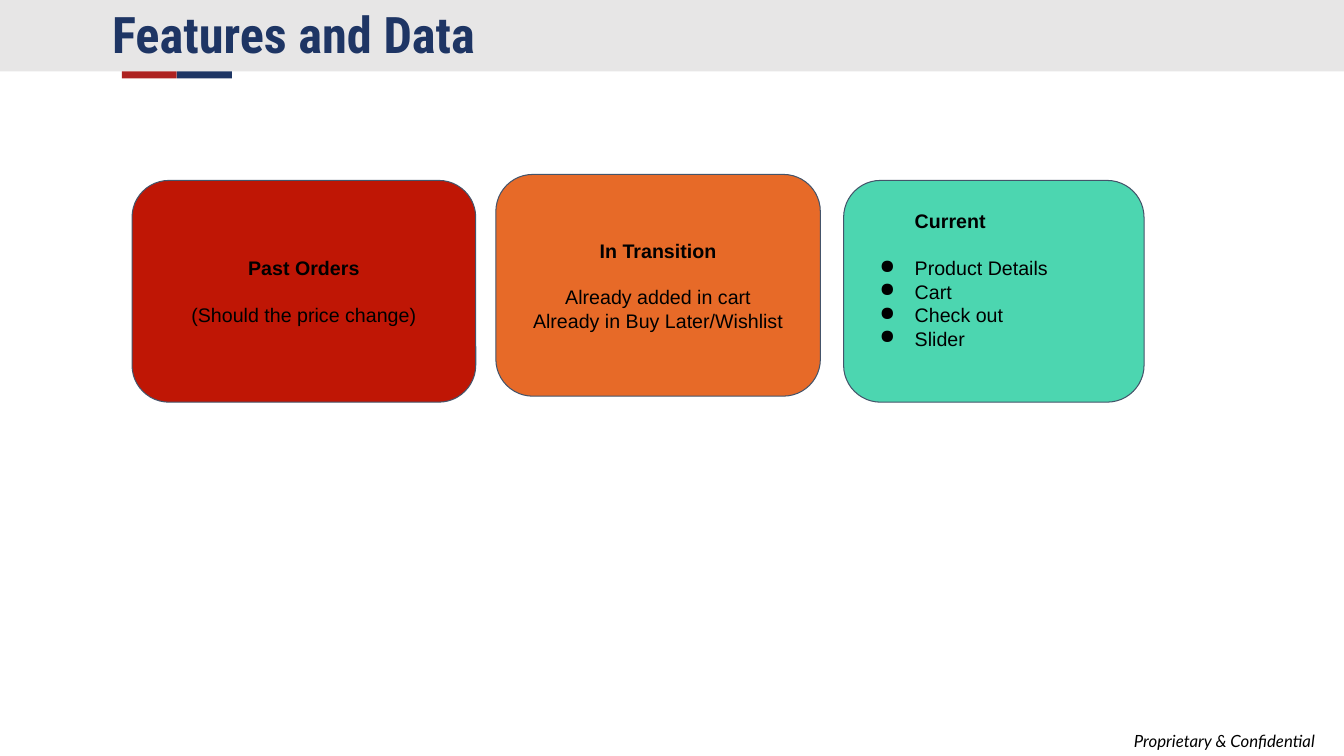
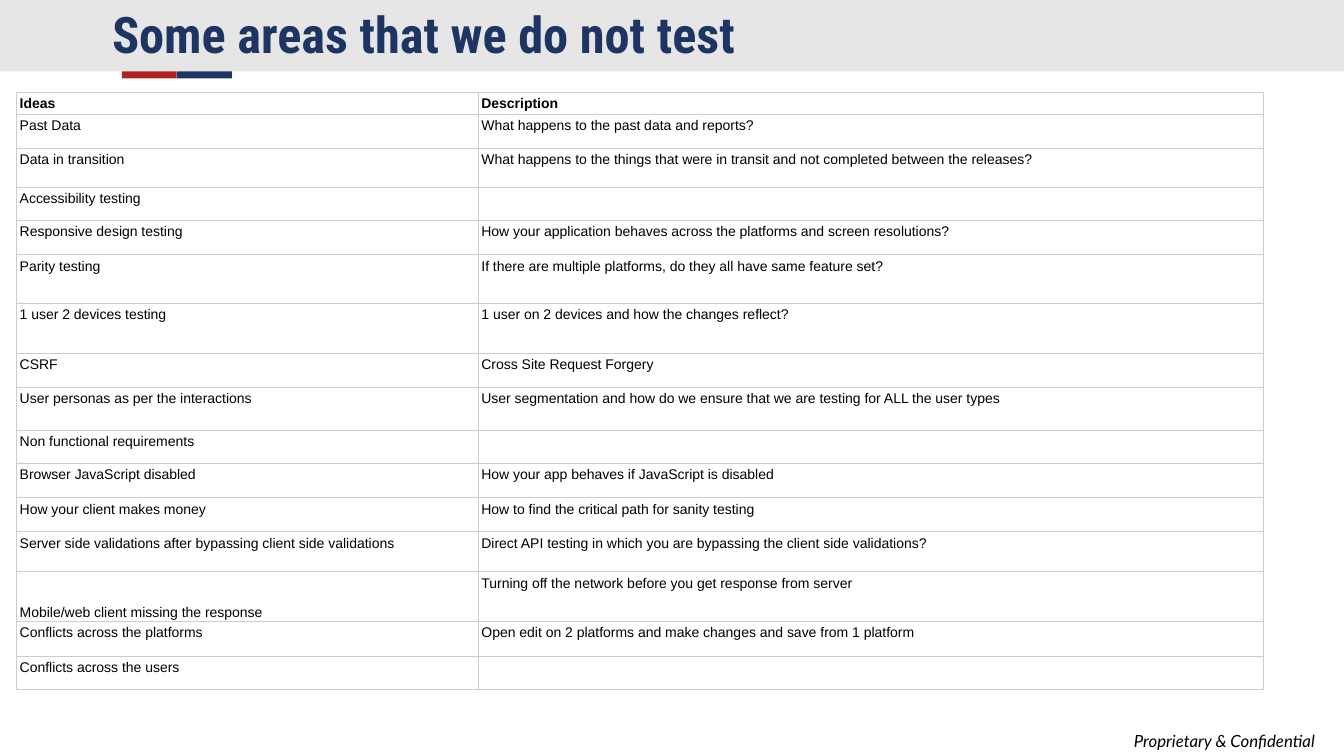
from lxml import etree
from pptx import Presentation
from pptx.dml.color import RGBColor
from pptx.enum import shapes, text
from pptx.oxml import ns
from pptx.util import Pt

WIDTH, HEIGHT = 960, 540
BLACK, WHITE = "000000", "FFFFFF"
NAVY, RED, BAND = "1D3564", "AE2220", "E7E6E6"
TITLE_COLOR, CARD_LINE, GRID = "1E3564", "44546A", "CCCCCC"
BODY_FONT, TITLE_FONT, FOOTER_FONT = "Arial", "Roboto Condensed", "Lato"
CARD_LINE_HEIGHT = 16.5

CARDS = [
    ((94.3, 128.9, 245.5), "BF1605", "Past Orders", ["(Should the price change)"], False),
    ((354.2, 124.6, 231.8), "E76A28", "In Transition",
     ["Already added in cart", "Already in Buy Later/Wishlist"], False),
    ((602.6, 128.9, 214.6), "4CD6B0", "Current",
     ["Product Details", "Cart", "Check out", "Slider"], True),
]

COLUMN_WIDTHS = [329.8, 560.9]
ROWS = [
    (15.7, "Ideas", "Description"),
    (24.3, "Past Data", "What happens to the past data and reports?"),
    (27.9, "Data in transition",
     "What happens to the things that were in transit and not completed between the releases?"),
    (22.9, "Accessibility testing", ""),
    (24.3, "Responsive design testing",
     "How your application behaves across the platforms and screen resolutions?"),
    (35, "Parity testing", "If there are multiple platforms, do they all have same feature set?"),
    (35.7, "1 user 2 devices testing", "1 user on 2 devices and how the changes reflect?"),
    (24.3, "CSRF", "Cross Site Request Forgery"),
    (30.7, "User personas as per the interactions",
     "User segmentation and how do we ensure that we are testing for ALL the user types"),
    (23.6, "Non functional requirements", ""),
    (24.3, "Browser JavaScript disabled", "How your app behaves if JavaScript is disabled"),
    (24.3, "How your client makes money", "How to find the critical path for sanity testing"),
    (28.6, "Server side validations after bypassing client side validations",
     "Direct API testing in which you are bypassing the client side validations?"),
    (35.7, "Mobile/web client missing the response",
     "Turning off the network before you get response from server"),
    (25, "Conflicts across the platforms",
     "Open edit on 2 platforms and make changes and save from 1 platform"),
    (22.9, "Conflicts across the users", ""),
]
BOTTOM_ROW = 13


def color(value):
    """Turn a hex string into a colour."""
    return RGBColor.from_string(value)


def add_run(paragraph, words, size, font=BODY_FONT, ink=BLACK, bold=False, italic=False):
    """Append one styled run."""
    run = paragraph.add_run()
    run.text = words
    run.font.size, run.font.name = Pt(size), font
    run.font.bold, run.font.italic = bold, italic
    run.font.color.rgb = color(ink)


def set_margins(frame, horizontal, vertical):
    """Set the insets of a text frame or a table cell."""
    frame.margin_left = frame.margin_right = Pt(horizontal)
    frame.margin_top = frame.margin_bottom = Pt(vertical)


def add_block(slide, kind, box, fill, line=None):
    """Draw a filled preset shape."""
    shape = slide.shapes.add_shape(kind, *map(Pt, box))
    shape.shadow.inherit = False
    shape.fill.solid()
    shape.fill.fore_color.rgb = color(fill)
    if line:
        shape.line.color.rgb = color(line)
        shape.line.width = Pt(0.75)
    else:
        shape.line.fill.background()
    return shape


def add_label(slide, box, words, size, **style):
    """Place a single line of text."""
    frame = slide.shapes.add_textbox(*map(Pt, box)).text_frame
    frame.word_wrap = True
    set_margins(frame, 9.4, 9.4)
    add_run(frame.paragraphs[0], words, size, **style)


def add_slide(presentation, title):
    """Start a slide with the shared band, accents, footer and title."""
    slide = presentation.slides.add_slide(presentation.slide_layouts[6])
    rectangle = shapes.MSO_SHAPE.RECTANGLE
    add_block(slide, rectangle, (0, 0, WIDTH, 51), BAND)
    for left, fill in ((87, RED), (126.3, NAVY)):
        add_block(slide, rectangle, (left, 51, 39.3, 5), fill)
    add_label(slide, (800.6, 514.8, 155.5, 23), "Proprietary & Confidential", 12,
              font=FOOTER_FONT, italic=True)
    add_label(slide, (70.6, -7.2, 807, 56.2), title, 36,
              font=TITLE_FONT, ink=TITLE_COLOR, bold=True)
    return slide


def indent(paragraph, bullet):
    """Indent a paragraph and hang a bullet if wanted."""
    properties = paragraph._p.get_or_add_pPr()
    properties.set("marL", str(Pt(36)))
    properties.set("indent", str(Pt(-25 if bullet else 0)))
    if bullet:
        etree.SubElement(properties, ns.qn("a:buChar"), char="●")


def add_card(slide, place, fill, heading, lines, bulleted):
    """Draw a rounded card with a heading and its lines."""
    card = add_block(slide, shapes.MSO_SHAPE.ROUNDED_RECTANGLE, (*place, 158.4), fill, CARD_LINE)
    frame = card.text_frame
    frame.word_wrap = True
    frame.vertical_anchor = text.MSO_ANCHOR.MIDDLE
    set_margins(frame, 7.2, 7.2)
    if bulleted:
        frame.margin_bottom = Pt(7.2 + CARD_LINE_HEIGHT)
    for index, words in enumerate([heading, *lines]):
        paragraph = frame.add_paragraph() if index else frame.paragraphs[0]
        paragraph.alignment = text.PP_ALIGN.LEFT if bulleted else text.PP_ALIGN.CENTER
        if index == 0:
            paragraph.space_after = Pt(CARD_LINE_HEIGHT)
        if bulleted:
            indent(paragraph, index > 0)
        add_run(paragraph, words, 14, bold=index == 0)


def add_borders(cell):
    """Give a cell a thin line on every side."""
    properties = cell._tc.get_or_add_tcPr()
    for side in ("lnL", "lnR", "lnT", "lnB"):
        line = etree.SubElement(properties, ns.qn(f"a:{side}"), w=str(Pt(0.75)))
        fill = etree.SubElement(line, ns.qn("a:solidFill"))
        etree.SubElement(fill, ns.qn("a:srgbClr"), val=GRID)


def fill_cell(cell, words, bold, anchor):
    """Style a table cell and write its text."""
    add_borders(cell)
    cell.fill.solid()
    cell.fill.fore_color.rgb = color(WHITE)
    set_margins(cell, 2.2, 1)
    cell.vertical_anchor = anchor
    if words:
        paragraph = cell.text_frame.paragraphs[0]
        paragraph.line_spacing = 1.15
        add_run(paragraph, words, 10, bold=bold)


def add_ideas_table(slide):
    """Draw the table of ideas and descriptions."""
    total_height = sum(row[0] for row in ROWS)
    box = (11.9, 66, sum(COLUMN_WIDTHS), total_height)
    table = slide.shapes.add_table(len(ROWS), len(COLUMN_WIDTHS), *map(Pt, box)).table
    table.horz_banding = False
    for column, width in zip(table.columns, COLUMN_WIDTHS):
        column.width = Pt(width)
    for row, (height, *entries) in enumerate(ROWS):
        table.rows[row].height = Pt(height)
        for column, words in enumerate(entries):
            at_bottom = (row, column) == (BOTTOM_ROW, 0)
            anchor = text.MSO_ANCHOR.BOTTOM if at_bottom else text.MSO_ANCHOR.TOP
            fill_cell(table.cell(row, column), words, row == 0, anchor)


def main():
    """Build and save the presentation."""
    presentation = Presentation()
    presentation.slide_width, presentation.slide_height = Pt(WIDTH), Pt(HEIGHT)
    features = add_slide(presentation, "Features and Data")
    for card in CARDS:
        add_card(features, *card)
    add_ideas_table(add_slide(presentation, "Some areas that we do not test"))
    presentation.save("out.pptx")


if __name__ == "__main__":
    main()
